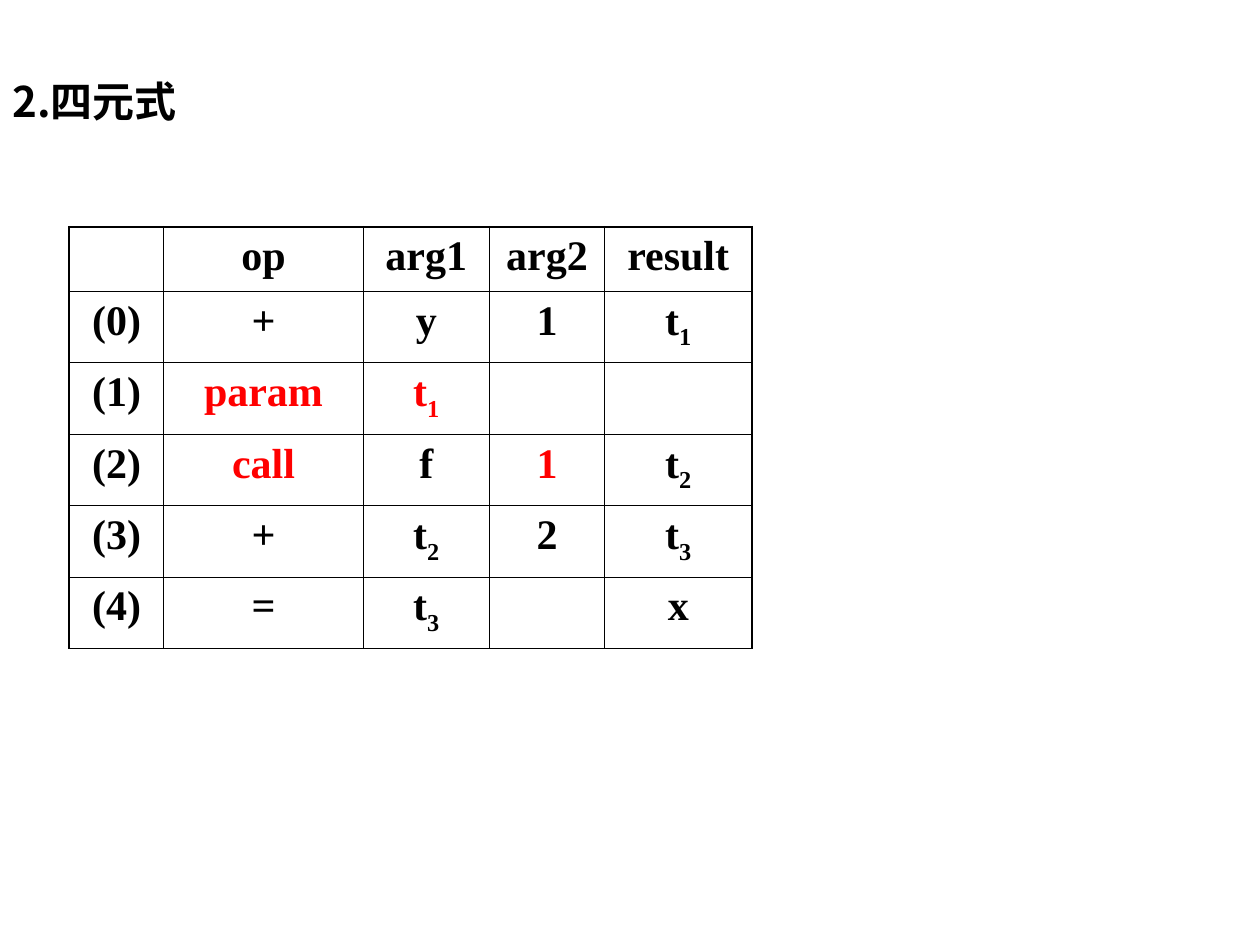
from dataclasses import dataclass

from lxml.etree import SubElement
from pptx import Presentation
from pptx.dml.color import RGBColor
from pptx.enum.text import PP_ALIGN
from pptx.oxml import parse_xml
from pptx.oxml.ns import nsdecls, qn
from pptx.util import Inches, Pt


@dataclass(frozen=True)
class Theme:
    ink: str = "000000"
    accent: str = "FF0000"
    heading_font: str = "Noto Sans CJK SC"
    table_font: str = "Times New Roman"
    text_size: float = 24
    space_before: float = 6
    inner_line: float = 0.45
    outer_line: float = 1.08


def format_text(paragraph, text, *, font, size, color, space_before,
                align=PP_ALIGN.LEFT):
    paragraph.alignment = align
    paragraph.space_before = Pt(space_before)
    for part, content in enumerate(text.split("_")):
        run = paragraph.add_run()
        run.text = content
        run.font.name = font
        run.font.size = Pt(size)
        run.font.bold = True
        run.font.color.rgb = RGBColor.from_string(color)
        properties = run._r.get_or_add_rPr()
        SubElement(properties, qn("a:ea")).set("typeface", font)
        if part:
            properties.set("baseline", "-25000")


class SlideBuilder:
    COLUMNS, ROWS = 120, 90

    def __init__(self, deck, theme):
        self.theme = theme
        self.slide = deck.slides.add_slide(deck.slide_layouts[6])
        self.column = deck.slide_width / self.COLUMNS
        self.row = deck.slide_height / self.ROWS

    def area(self, left, top, width, height):
        return (round(left * self.column), round(top * self.row),
                round(width * self.column), round(height * self.row))

    def heading(self, text, area):
        frame = self.slide.shapes.add_textbox(*self.area(*area)).text_frame
        frame.word_wrap = True
        paragraph = frame.paragraphs[0]
        format_text(paragraph, text, font=self.theme.heading_font,
                    size=self.theme.text_size, color=self.theme.ink,
                    space_before=self.theme.space_before)
        hanging = Inches(0.38)
        indents = paragraph._p.get_or_add_pPr()
        indents.set("marL", str(hanging))
        indents.set("indent", str(-hanging))

    def table(self, records, highlights, left, top, widths, heights):
        area = self.area(left, top, sum(widths), sum(heights))
        grid = self.slide.shapes.add_table(len(heights), len(widths), *area).table
        grid.first_row = grid.horz_banding = False
        for column, width in zip(grid.columns, widths):
            column.width = round(width * self.column)
        for row, height in zip(grid.rows, heights):
            row.height = round(height * self.row)
        for r, record in enumerate(records):
            for c, text in enumerate(record):
                cell = grid.cell(r, c)
                cell.fill.background()
                self.borders(cell, {"L": c == 0, "R": c == len(widths) - 1,
                                    "T": r == 0, "B": False})
                if text:
                    color = self.theme.accent if (r, c) in highlights else self.theme.ink
                    format_text(cell.text_frame.paragraphs[0], text,
                                font=self.theme.table_font,
                                size=self.theme.text_size, color=color,
                                space_before=self.theme.space_before,
                                align=PP_ALIGN.CENTER)

    def borders(self, cell, outer_sides):
        properties = cell._tc.get_or_add_tcPr()
        for position, (side, outer) in enumerate(outer_sides.items()):
            width = Pt(self.theme.outer_line if outer else self.theme.inner_line)
            properties.insert(position, parse_xml(
                f'<a:ln{side} {nsdecls("a")} w="{width}"><a:solidFill>'
                f'<a:srgbClr val="{self.theme.ink}"/></a:solidFill></a:ln{side}>'))


def main():
    deck = Presentation()
    deck.slide_width, deck.slide_height = Inches(10), Inches(7.5)
    builder = SlideBuilder(deck, Theme())
    builder.heading("2.四元式", (0, 6.6, 120, 7.6))

    quadruples = [
        ("+", "y", "1", "t_1"),
        ("param", "t_1", "", ""),
        ("call", "f", "1", "t_2"),
        ("+", "t_2", "2", "t_3"),
        ("=", "t_3", "", "x"),
    ]
    records = [("", "op", "arg1", "arg2", "result")]
    records += [(f"({index})", *fields) for index, fields in enumerate(quadruples)]
    call_steps = {(2, 1), (2, 2), (3, 1), (3, 3)}
    builder.table(records, call_steps, left=6.6, top=21.6,
                  widths=[9, 19, 12, 11, 14],
                  heights=[6.15] + [6.81] * len(quadruples))
    deck.save("out.pptx")


if __name__ == "__main__":
    main()
